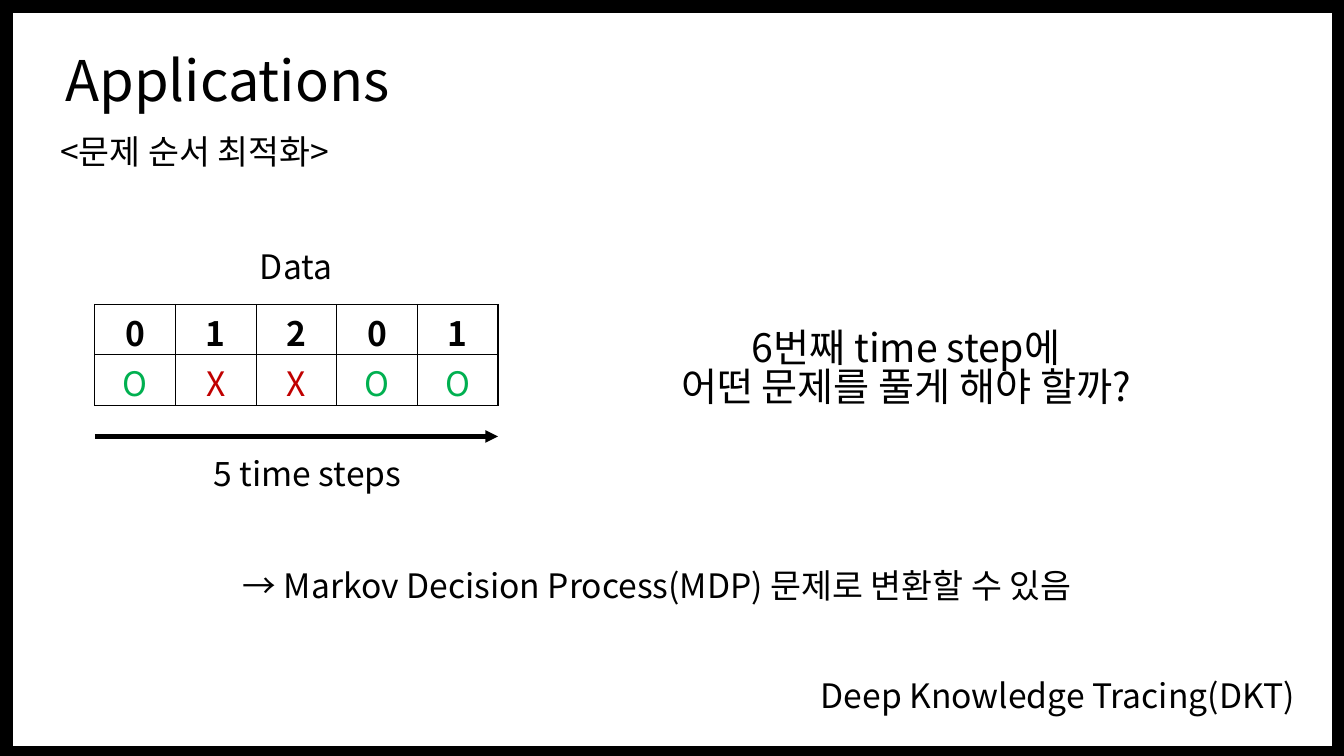
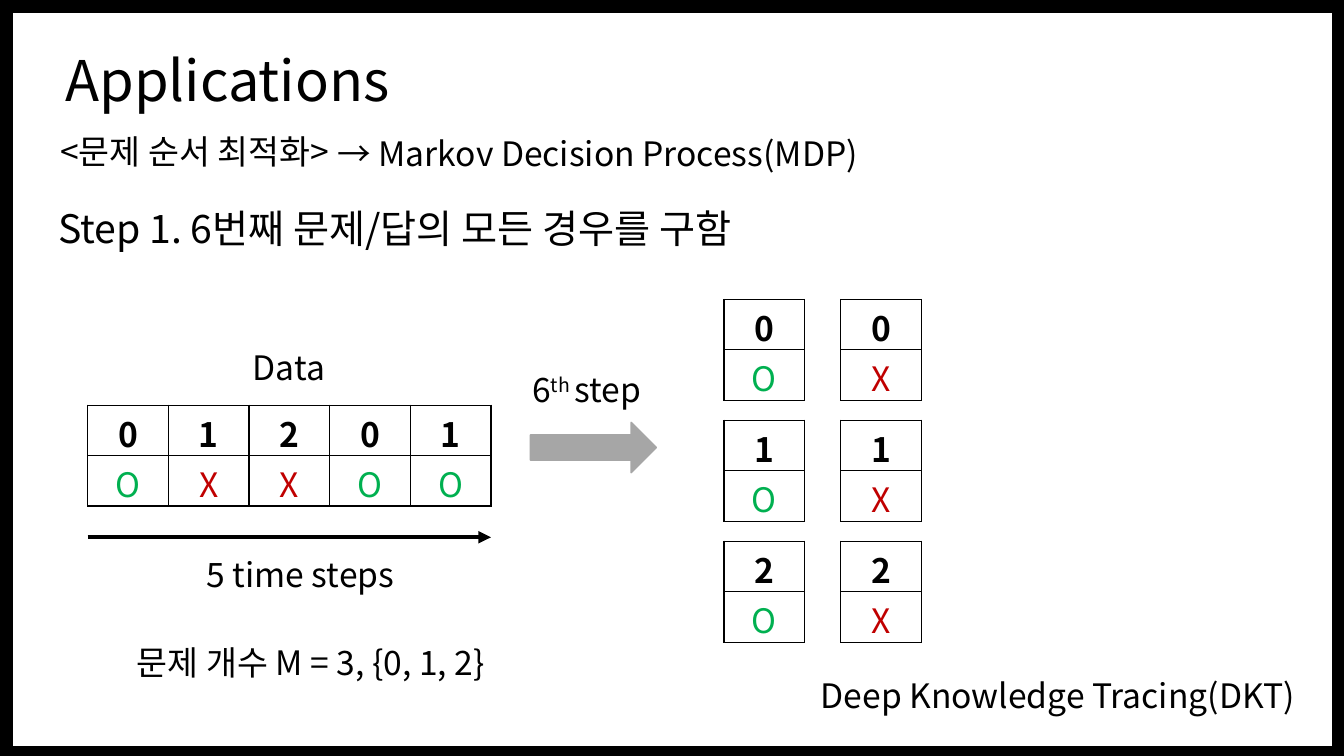
import pptx
import pptx.util
import pptx.dml.color
import pptx.enum.shapes
import pptx.enum.text
import pptx.oxml
import pptx.oxml.ns
import lxml.etree

Inches = pptx.util.Inches
Pt = pptx.util.Pt
RGBColor = pptx.dml.color.RGBColor
ALIGN = pptx.enum.text.PP_ALIGN
SHAPE = pptx.enum.shapes.MSO_SHAPE
qn = pptx.oxml.ns.qn

FONT = "Noto Sans CJK KR"
BLACK = RGBColor(0x00, 0x00, 0x00)
WHITE = RGBColor(0xFF, 0xFF, 0xFF)
GREEN = RGBColor(0x00, 0xB0, 0x50)
RED = RGBColor(0xC0, 0x00, 0x00)
GRAY = RGBColor(0xA6, 0xA6, 0xA6)
MARK_COLORS = {"O": GREEN, "X": RED}

SLIDE_WIDTH, SLIDE_HEIGHT = 13.33, 7.5
FRAME = 0.13
CELL_WIDTH, CELL_HEIGHT = 0.8, 0.5


def style(paragraph, size=24, color=BLACK, bold=False, align=ALIGN.LEFT, spacing=0.9):
    paragraph.alignment = align
    paragraph.line_spacing = spacing
    paragraph.space_before = Pt(0)
    font = paragraph.font
    font.name, font.size, font.bold = FONT, Pt(size), bold
    font.color.rgb = color
    for run in paragraph.runs:
        east_asian = lxml.etree.SubElement(run._r.get_or_add_rPr(), qn("a:ea"))
        east_asian.set("typeface", FONT)


def add_text(slide, left, top, width, height, text, **look):
    frame = slide.shapes.add_textbox(
        Inches(left), Inches(top), Inches(width), Inches(height)).text_frame
    frame.word_wrap = True
    frame.text = text
    for paragraph in frame.paragraphs:
        style(paragraph, **look)
    return frame


def add_panel(slide, kind, left, top, width, height, color):
    panel = slide.shapes.add_shape(
        kind, Inches(left), Inches(top), Inches(width), Inches(height))
    panel.shadow.inherit = False
    panel.fill.solid()
    panel.fill.fore_color.rgb = color
    panel.line.color.rgb = color
    panel.line.width = Pt(1)
    return panel


def add_base(presentation):
    slide = presentation.slides.add_slide(presentation.slide_layouts[5])
    border = add_panel(slide, SHAPE.RECTANGLE, 0, 0, SLIDE_WIDTH, SLIDE_HEIGHT, BLACK)
    paper = add_panel(slide, SHAPE.RECTANGLE, FRAME, FRAME, 13.08, 7.27, WHITE)
    for position, panel in enumerate((border, paper), start=2):
        panel.line.fill.background()
        slide.shapes._spTree.insert(position, panel._element)

    title = slide.shapes.title
    title.left, title.top = Inches(0.55), Inches(0.48)
    title.width, title.height = Inches(12.2), Inches(0.77)
    title.text_frame.text = "Applications"
    title.text_frame.vertical_anchor = pptx.enum.text.MSO_ANCHOR.TOP
    title.text_frame.auto_size = pptx.enum.text.MSO_AUTO_SIZE.NONE
    style(title.text_frame.paragraphs[0], size=40)

    add_text(slide, 0.5, 1.29, 6.95, 0.5, "<문제 순서 최적화>")
    add_text(slide, 6.81, 6.69, 6.13, 0.5, "Deep Knowledge Tracing(DKT)", align=ALIGN.RIGHT)
    return slide


def add_borders(cell):
    properties = cell._tc.get_or_add_tcPr()
    for position, side in enumerate(("lnL", "lnR", "lnT", "lnB")):
        properties.insert(position, pptx.oxml.parse_xml(
            f'<a:{side} {pptx.oxml.ns.nsdecls("a")} w="12700"><a:solidFill>'
            f'<a:srgbClr val="{BLACK}"/></a:solidFill></a:{side}>'))


def add_answers(slide, left, top, questions, marks):
    table = slide.shapes.add_table(
        2, len(questions), Inches(left), Inches(top),
        Inches(CELL_WIDTH * len(questions)), Inches(2 * CELL_HEIGHT)).table
    table.first_row = table.horz_banding = False
    for row, texts in enumerate((questions, marks)):
        table.rows[row].height = Inches(CELL_HEIGHT)
        for column, text in enumerate(texts):
            cell = table.cell(row, column)
            cell.text = text
            cell.margin_top, cell.margin_bottom = Inches(0.1), Inches(0)
            cell.fill.background()
            add_borders(cell)
            style(cell.text_frame.paragraphs[0], color=MARK_COLORS.get(text, BLACK),
                  bold=row == 0, align=ALIGN.CENTER, spacing=0.82)


def add_data_sequence(slide, left, top):
    questions, marks = "01201", "OXXOO"
    add_text(slide, left + 1.54, top - 0.58, 1.23, 0.5, "Data")
    add_answers(slide, left, top, questions, marks)
    add_text(slide, left + 1.08, top + 1.47, 2.47, 0.5, "5 time steps")
    arrow_top = Inches(top + 1.31)
    time_arrow = slide.shapes.add_connector(
        pptx.enum.shapes.MSO_CONNECTOR.STRAIGHT, Inches(left), arrow_top,
        Inches(left + CELL_WIDTH * len(questions)), arrow_top)
    time_arrow.line.color.rgb = BLACK
    time_arrow.line.width = Pt(3)
    tail = lxml.etree.SubElement(time_arrow.line._get_or_add_ln(), qn("a:tailEnd"))
    tail.set("type", "triangle")
    lxml.etree.SubElement(time_arrow._element.spPr, qn("a:effectLst"))


def add_next_step(slide, left, top):
    label = add_text(slide, left, top, 1.55, 0.5, "6").paragraphs[0]
    ordinal = label.add_run()
    ordinal.text = "th "
    label.add_run().text = "step"
    style(label)
    ordinal._r.get_or_add_rPr().set("baseline", "30000")
    add_panel(slide, SHAPE.RIGHT_ARROW, left + 0.08, top + 0.53, 1.25, 0.5, GRAY)


def add_outcomes(slide, left, top):
    for row, question in enumerate("012"):
        for column, mark in enumerate("OX"):
            add_answers(slide, left + 1.16 * column, top + 1.2 * row, question, mark)


def build_question_slide(presentation):
    slide = add_base(presentation)
    add_data_sequence(slide, 0.94, 3.02)
    add_text(slide, 5.76, 3.24, 6.54, 1.04,
             "6번째 time step에 \n어떤 문제를 풀게 해야 할까? ",
             size=28, align=ALIGN.CENTER, spacing=0.83)
    add_text(slide, 2.31, 5.6, 10.5, 0.5,
             "→ Markov Decision Process(MDP) 문제로 변환할 수 있음")


def build_first_step_slide(presentation):
    slide = add_base(presentation)
    add_text(slide, 3.25, 1.31, 9.5, 0.5, "→ Markov Decision Process(MDP)")
    add_text(slide, 0.48, 2.06, 6.95, 1.04,
             "Step 1. 6번째 문제/답의 모든 경우를 구함", size=28, spacing=0.83)
    add_data_sequence(slide, 0.87, 4.02)
    add_text(slide, 1.26, 6.36, 6.95, 0.5, "문제 개수 M = 3, {0, 1, 2}")
    add_next_step(slide, 5.18, 3.66)
    add_outcomes(slide, 7.18, 2.97)


def main():
    presentation = pptx.Presentation()
    presentation.slide_width = Inches(SLIDE_WIDTH)
    presentation.slide_height = Inches(SLIDE_HEIGHT)
    build_question_slide(presentation)
    build_first_step_slide(presentation)
    presentation.save("out.pptx")


if __name__ == "__main__":
    main()
